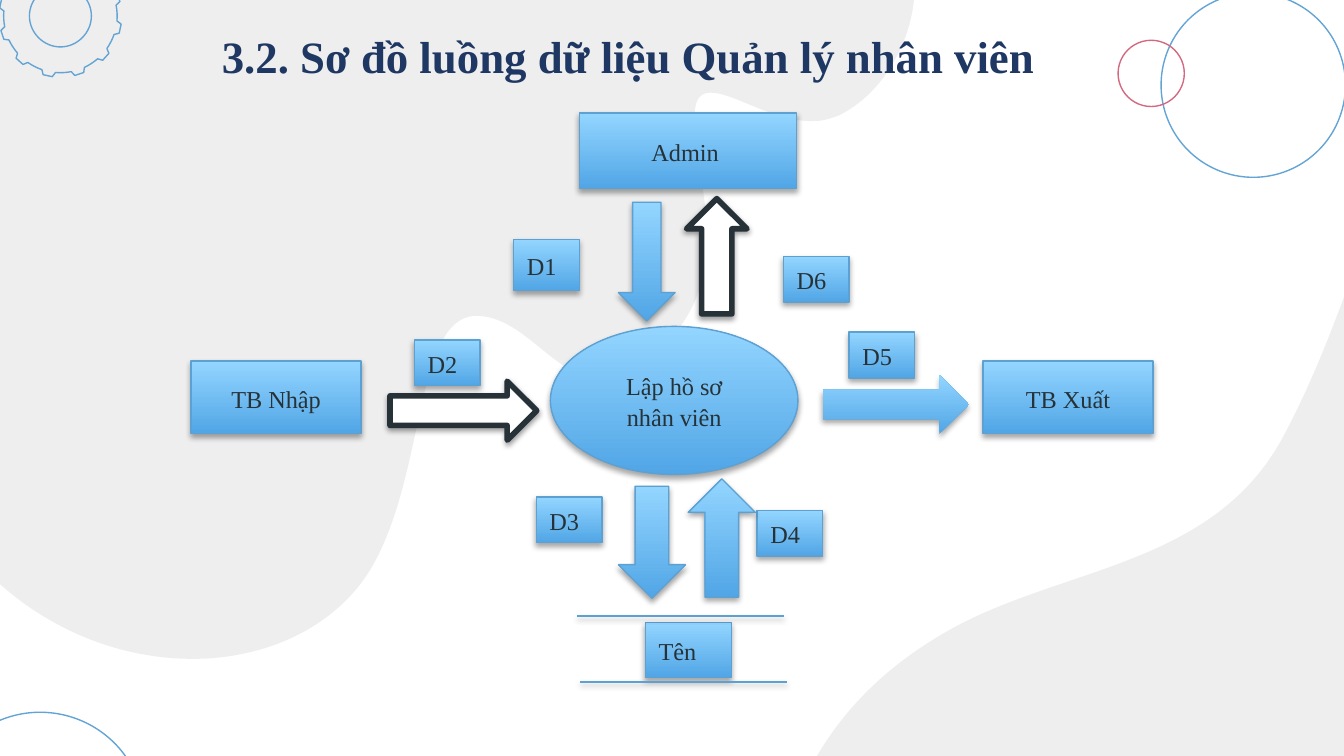
from math import cos, radians, sin
from typing import NamedTuple

from lxml.etree import SubElement
from pptx import Presentation
from pptx.dml.color import RGBColor as RGB
from pptx.enum.shapes import MSO_CONNECTOR as CONN, MSO_SHAPE as SHAPE
from pptx.enum.text import MSO_ANCHOR as ANCHOR, MSO_AUTO_SIZE as AUTO, PP_ALIGN as ALIGN
from pptx.oxml.ns import qn
from pptx.util import Pt

COLORS = {
    "blob": "D6D7D7", "ring": "63A4D5", "pink": "D36980", "title": "1F3763",
    "ink": "263238", "edge": "5DA0D2", "deep": "51A6E6", "light": "93D5FF",
    "white": "FFFFFF", "shadow": "000000",
}
FONT = "Times New Roman"
TAG_W, TAG_H = 35.2, 24.6


class Ring(NamedTuple):
    x: float
    y: float
    d: float
    color: str = "ring"


class Node(NamedTuple):
    text: str
    x: float
    y: float
    w: float = TAG_W
    h: float = TAG_H
    kind: SHAPE = SHAPE.RECTANGLE
    align: ALIGN = ALIGN.LEFT


class Arrow(NamedTuple):
    kind: SHAPE
    x: float
    y: float
    w: float
    h: float
    edge: str | None = "edge"
    hollow: bool = False


UPPER_BLOB = [
    (110.9, 352.8),
    (148.3, 350.6, 181.4, 333.4, 198.7, 304.6),
    (228.2, 254.9, 221.8, 171.4, 254.2, 169.2),
    (254.9, 169.2, 255.6, 169.2, 255.6, 169.2),
    (282.2, 169.9, 298.1, 204.5, 324, 203),
    (331.9, 203, 341.3, 198.7, 352.1, 188.6),
    (398.2, 146.9, 370.1, 95, 372.2, 61.2),
    (372.2, 52.6, 375.8, 49.7, 380.2, 49.7),
    (392.4, 49, 415.4, 66.2, 437, 64.8),
    (441.4, 64.8, 445, 63.4, 449.3, 61.9),
    (481, 46.1, 493.9, 5.8, 488.9, -16.6),
    (483.8, -39.6, 498.2, -69.8, 498.2, -69.8),
    (-77.8, -38.2),
    (-77.8, -38.2, -78.5, 112.3, -58.3, 212.4),
    (-58.3, 212.4, -43.2, 290.2, 23.8, 330.5),
    (52.6, 347.8, 82.8, 354.2, 110.9, 352.8),
]
LOWER_BLOB = [
    (386.6, 511.2), (768.2, 599), (901.4, 18),
    (895.7, 18, 799.9, 16.6, 768.2, 54),
    (735.8, 93.6, 724.3, 166.3, 686.2, 236.2),
    (647.3, 305.3, 565.2, 303.8, 504.7, 339.8),
    (443.5, 375.8, 426.2, 422.6, 411.8, 465.8),
    (405.4, 487.4, 396, 501.1, 386.6, 511.2),
]
RINGS = [
    Ring(-34.6, 381.6, 112.3), Ring(622, -3.8, 98.8), Ring(599, 21.6, 35.5, "pink"),
]
NODES = [
    Node("Tên", 345.7, 333.4, 46.1, 29.5),
    Node("D5", 454.9, 178),
    Node("D3", 287.3, 266.2),
    Node("D1", 275.2, 128.2, h=27.5),
    Node("Admin ", 310.4, 60.5, 116.5, 40.5, align=ALIGN.CENTER),
    Node("Lập hồ sơ nhân viên", 294.9, 174.9, 132.6, 79.3, SHAPE.OVAL, ALIGN.CENTER),
    Node("TB Nhập", 102.3, 193.4, 91.2, 38.9, align=ALIGN.CENTER),
    Node("TB Xuất", 526.5, 193.4, 91.2, 38.9, align=ALIGN.CENTER),
    Node("D2", 222, 182.1),
    Node("D6", 419.7, 137.3),
    Node("D4", 405.6, 273.4),
]
ARROWS = [
    Arrow(SHAPE.DOWN_ARROW, 331.3, 108.4, 30.4, 63.5),
    Arrow(SHAPE.UP_ARROW, 367.8, 106.4, 32.4, 61.8, "ink", True),
    Arrow(SHAPE.RIGHT_ARROW, 208.9, 204.2, 78.6, 31.6, "ink", True),
    Arrow(SHAPE.DOWN_ARROW, 331.3, 260.5, 36, 60),
    Arrow(SHAPE.UP_ARROW, 368.7, 256.5, 36, 63.4),
    Arrow(SHAPE.RIGHT_ARROW, 440.8, 200.9, 78.3, 31.6, None),
]
STORE_LINES = [(309.1, 330.1), (310.6, 365.4)]
STORE_W = 110.8


def color(name: str) -> RGB:
    return RGB.from_string(COLORS[name])


def polar(cx: float, cy: float, r: float, angle: float) -> tuple:
    return cx + r * cos(radians(angle)), cy + r * sin(radians(angle))


def arc(cx: float, cy: float, r: float, start: float, sweep: float) -> tuple:
    reach = r * radians(sweep) / 3 * (1.036 if sweep == 90 else 1)
    a, b = radians(start), radians(start + sweep)
    (x0, y0), (x1, y1) = polar(cx, cy, r, start), polar(cx, cy, r, start + sweep)
    return (x0 - reach * sin(a), y0 + reach * cos(a),
            x1 + reach * sin(b), y1 - reach * cos(b), x1, y1)


def gear_contours(cx: float, cy: float, teeth: int = 12) -> list:
    root, tip, hub, step = 30.4, 32.8, 16.6, 360 / teeth
    rim = [polar(cx, cy, root, 5)]
    for i in range(teeth):
        mid = 12 + i * step
        rim += [polar(cx, cy, r, mid + da) for da, r in ((-4.4, tip), (4.4, tip), (7, root))]
        rim.append(arc(cx, cy, root, mid + 7, step - 14))
    hole = [polar(cx, cy, hub, 0), *(arc(cx, cy, hub, a, 90) for a in range(0, 360, 90))]
    return [rim, hole]


def draw_outline(s, contours: list):
    builder = None
    for contour in contours:
        points = [(Pt(part[i]), Pt(part[i + 1]))
                  for part in contour for i in range(0, len(part), 2)]
        if builder is None:
            builder = s.shapes.build_freeform(*points[0])
        else:
            builder.move_to(*points[0])
        builder.add_line_segments(points[1:], close=True)
    sp = builder.convert_to_shape()
    sp.shadow.inherit = False
    segments = iter(sp.element.findall(".//" + qn("a:lnTo")))
    for part in (part for contour in contours for part in contour[1:]):
        segment = next(segments)
        if len(part) == 6:
            curve = segment.makeelement(qn("a:cubicBezTo"))
            segment.addprevious(curve)
            for piece in (segment, next(segments), next(segments)):
                curve.append(piece[0])
                piece.getparent().remove(piece)
    return sp


def draw_blob(s, contour: list) -> None:
    sp = draw_outline(s, [contour])
    sp.fill.solid()
    sp.fill.fore_color.rgb = color("blob")
    sp.line.fill.background()
    srgb = sp.element.spPr.find(".//" + qn("a:srgbClr"))
    SubElement(srgb, qn("a:alpha"), val="41000")


def set_line(sp, name: str, width: float = 0.75) -> None:
    sp.line.color.rgb = color(name)
    sp.line.width = Pt(width)


def draw_ring(s, ring: Ring) -> None:
    sp = s.shapes.add_shape(SHAPE.OVAL, Pt(ring.x), Pt(ring.y), Pt(ring.d), Pt(ring.d))
    sp.shadow.inherit = False
    sp.fill.background()
    set_line(sp, ring.color)


def add_shadow(sp, alpha: int = 35, dist: float = 1.8) -> None:
    effects = SubElement(sp.element.spPr, qn("a:effectLst"))
    outer = SubElement(effects, qn("a:outerShdw"), blurRad=str(Pt(3.1)),
                       dist=str(Pt(dist)), dir="5400000", rotWithShape="0")
    srgb = SubElement(outer, qn("a:srgbClr"), val=COLORS["shadow"])
    SubElement(srgb, qn("a:alpha"), val=str(alpha * 1000))


def fill_gradient(sp) -> None:
    sp.fill.gradient()
    sp.fill.gradient_angle = 90
    for stop, name in zip(sp.fill.gradient_stops, ("deep", "light")):
        stop.color.rgb = color(name)


def add_run(p, text: str, size: float, name: str, bold: bool = False) -> None:
    r = p.add_run()
    r.text = text
    r.font.name, r.font.size, r.font.bold = FONT, Pt(size), bold
    r.font.color.rgb = color(name)


def draw_node(s, n: Node) -> None:
    sp = s.shapes.add_shape(n.kind, Pt(n.x), Pt(n.y), Pt(n.w), Pt(n.h))
    fill_gradient(sp)
    set_line(sp, "edge")
    add_shadow(sp)
    tf = sp.text_frame
    tf.word_wrap, tf.vertical_anchor = True, ANCHOR.MIDDLE
    p = tf.paragraphs[0]
    p.alignment, p.line_spacing = n.align, 1.07
    add_run(p, n.text, 13, "ink")


def draw_arrow(s, a: Arrow) -> None:
    sp = s.shapes.add_shape(a.kind, Pt(a.x), Pt(a.y), Pt(a.w), Pt(a.h))
    if a.hollow:
        sp.fill.solid()
        sp.fill.fore_color.rgb = color("white")
    else:
        fill_gradient(sp)
    if a.edge:
        set_line(sp, a.edge, 3 if a.hollow else 0.75)
    else:
        sp.line.fill.background()
    add_shadow(sp, *((38, 1.6) if a.hollow else (35, 1.8)))


def draw_store_line(s, x: float, y: float) -> None:
    line = s.shapes.add_connector(CONN.STRAIGHT, Pt(x), Pt(y), Pt(x + STORE_W), Pt(y))
    set_line(line, "edge")
    add_shadow(line)


def place_title(s, text: str) -> None:
    sp = s.shapes.title
    sp.element.getparent().append(sp.element)
    sp.left, sp.top, sp.width, sp.height = Pt(39.6), Pt(-2.5), Pt(526.3), Pt(46.1)
    tf = sp.text_frame
    tf.word_wrap, tf.auto_size, tf.vertical_anchor = True, AUTO.SHAPE_TO_FIT_TEXT, ANCHOR.TOP
    p = tf.paragraphs[0]
    p.alignment, p.line_spacing = ALIGN.LEFT, 1.5
    add_run(p, text, 24, "title", True)
    p._p.get_or_add_pPr().set("marL", str(Pt(72)))


def main() -> None:
    prs = Presentation()
    prs.slide_width, prs.slide_height = Pt(720), Pt(405)
    s = prs.slides.add_slide(prs.slide_layouts[5])
    for blob in (UPPER_BLOB, LOWER_BLOB):
        draw_blob(s, blob)
    gear = draw_outline(s, gear_contours(32.4, 8.6))
    gear.fill.background()
    set_line(gear, "ring")
    for ring in RINGS:
        draw_ring(s, ring)
    place_title(s, "3.2. Sơ đồ luồng dữ liệu Quản lý nhân viên")
    for node in NODES:
        draw_node(s, node)
    for x, y in STORE_LINES:
        draw_store_line(s, x, y)
    for arrow in ARROWS:
        draw_arrow(s, arrow)
    prs.save("out.pptx")


if __name__ == "__main__":
    main()
